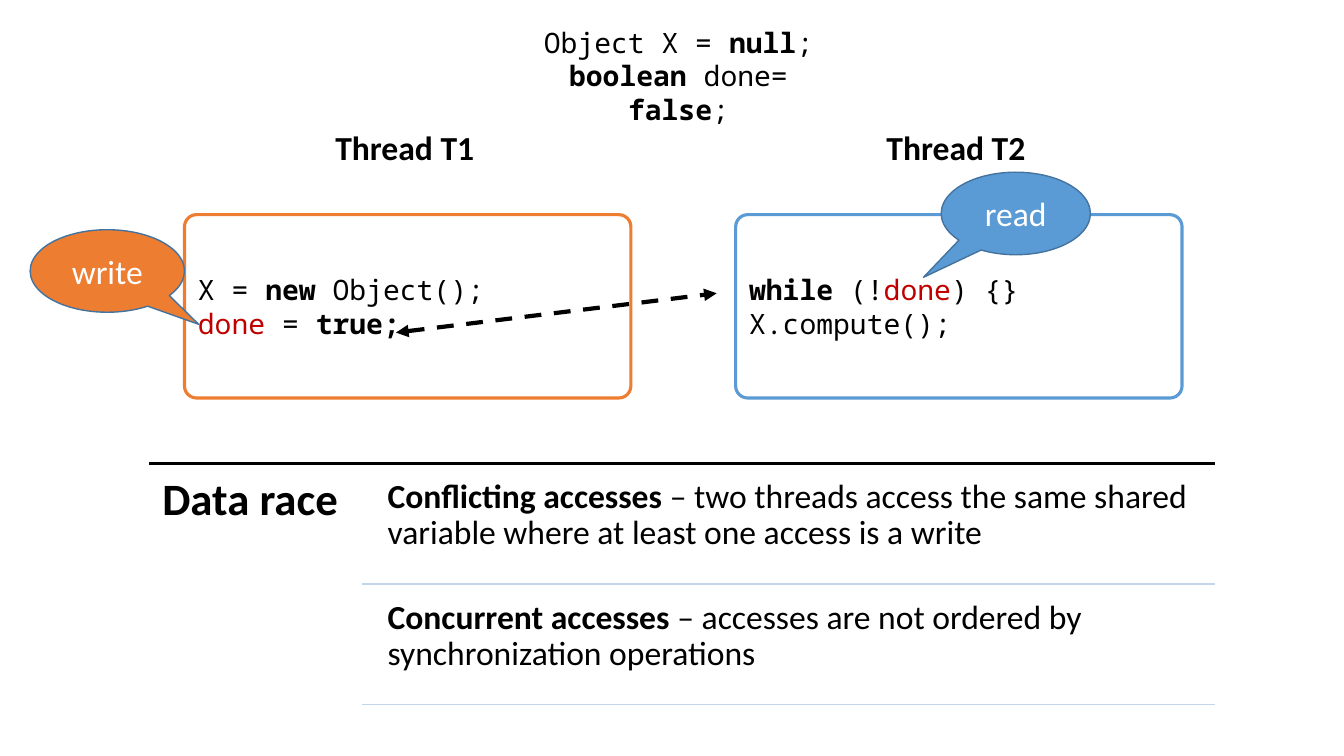
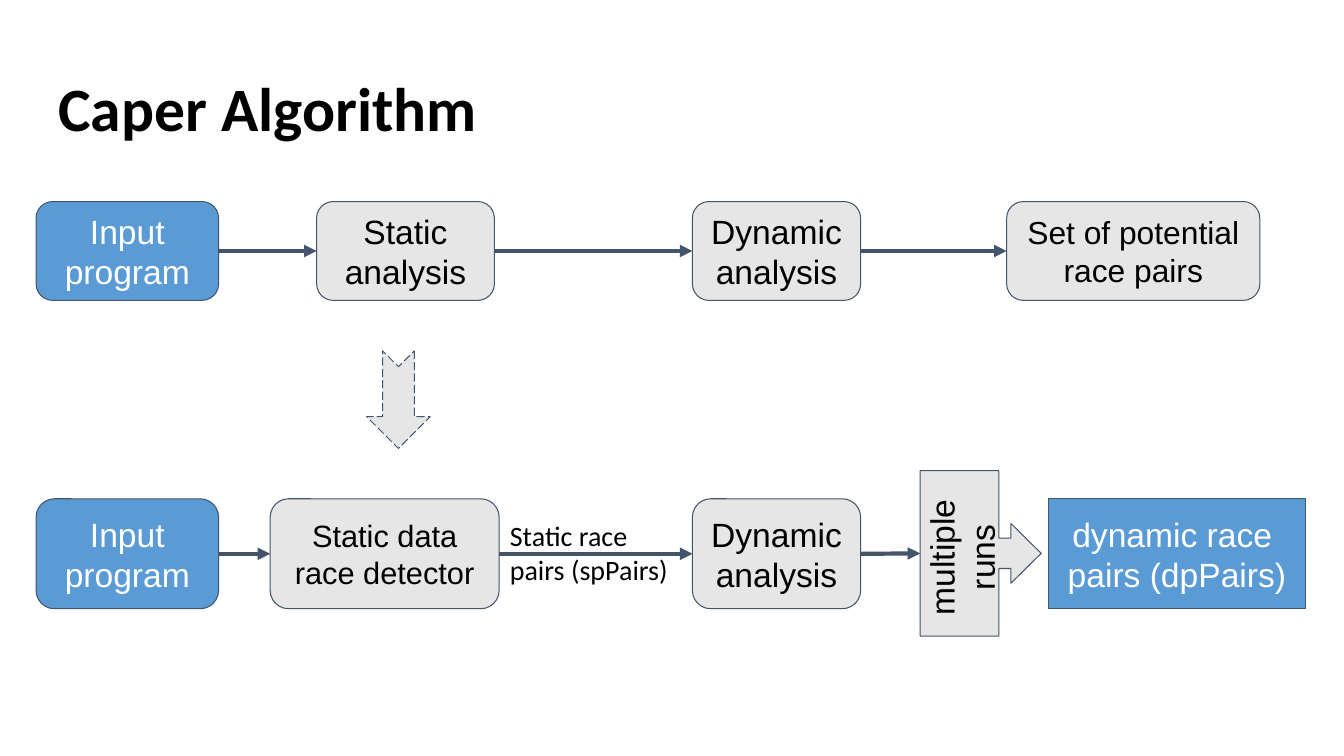
"""Build two slides: a data race example and the Caper algorithm pipeline."""
from lxml import etree
from pptx import Presentation
from pptx.dml.color import RGBColor
from pptx.enum.dml import MSO_LINE
from pptx.enum.shapes import MSO_CONNECTOR, MSO_SHAPE
from pptx.enum.text import MSO_ANCHOR, MSO_AUTO_SIZE, PP_ALIGN
from pptx.oxml.ns import qn
from pptx.util import Cm, Pt

ROUNDED, RECTANGLE = MSO_SHAPE.ROUNDED_RECTANGLE, MSO_SHAPE.RECTANGLE
BUBBLE, NOTCHED = MSO_SHAPE.OVAL_CALLOUT, MSO_SHAPE.NOTCHED_RIGHT_ARROW
ARROW_CALLOUT = MSO_SHAPE.RIGHT_ARROW_CALLOUT
STRAIGHT = MSO_CONNECTOR.STRAIGHT
DASH, LONG_DASH = MSO_LINE.DASH, MSO_LINE.LONG_DASH
TOP, MIDDLE = MSO_ANCHOR.TOP, MSO_ANCHOR.MIDDLE
LEFT, CENTER = PP_ALIGN.LEFT, PP_ALIGN.CENTER
LEFT_SITE, RIGHT_SITE = 1, 3

BLACK = RGBColor(0x00, 0x00, 0x00)
WHITE = RGBColor(0xFF, 0xFF, 0xFF)
RED = RGBColor(0xC0, 0x00, 0x00)
ORANGE = RGBColor(0xED, 0x7D, 0x31)
BLUE = RGBColor(0x5B, 0x9B, 0xD5)
BUBBLE_EDGE = RGBColor(0x43, 0x73, 0x9E)
PALE_BLUE = RGBColor(0xC4, 0xD5, 0xEB)
SLATE = RGBColor(0x44, 0x54, 0x6A)
GREY = RGBColor(0xE7, 0xE6, 0xE6)

BODY, CODE, DIAGRAM = "Calibri", "Noto Sans Mono", "Arial"
WIDE_INSET = 0.33

DECLARATIONS = [
    [("Object X = ",), ("null", True), (";",)],
    [("boolean", True), (" done= ",), ("false", True), (";",)],
]
THREADS = [
    ("Thread T1", 4.65, ORANGE, [
        [("X = ",), ("new", True), (" Object();",)],
        [("done", False, RED), (" = ",), ("true;", True)],
    ]),
    ("Thread T2", 18.54, BLUE, [
        [("while ", True), ("(!",), ("done", False, RED), (") {}",)],
        [("X.compute();",)],
    ]),
]
BUBBLES = [
    ("write", (0.76, 5.79, 3.89, 2.08), ORANGE, (0.592, 0.646)),
    ("read", (23.72, 4.34, 3.76, 2.08), BLUE, (-0.619, 0.774)),
]
CONDITIONS = [
    ("Conflicting accesses",
     " – two threads access the same shared variable where at least one access is a write"),
    ("Concurrent accesses", " – accesses are not ordered by synchronization operations"),
]
RULE_LEFT, RULE_RIGHT, RULE_TOP, RULE_STEP = 3.76, 30.61, 11.68, 3.04
CONDITION_LEFT = 9.12

PIPELINES = [
    (5.08, 2.49, [
        (["Input program"], 0.91, 4.6, 24, BLUE, ROUNDED),
        (["Static analysis"], 7.98, 4.48, 24, GREY, ROUNDED),
        (["Dynamic analysis"], 17.45, 4.24, 24, GREY, ROUNDED),
        (["Set of potential race pairs"], 25.37, 6.38, 22.7, GREY, ROUNDED),
    ]),
    (12.57, 2.77, [
        (["Input program"], 0.91, 4.6, 24, BLUE, ROUNDED),
        (["Static data race detector"], 6.81, 5.77, 22, GREY, ROUNDED),
        (["Dynamic analysis"], 17.45, 4.24, 24, GREY, ROUNDED),
    ]),
]
RESULT = ["dynamic race ", "pairs (dpPairs)"]
PAIRS_LABEL = ["Static race", "pairs (spPairs)"]


def plain(lines):
    """Turn strings into paragraphs of one regular run each."""
    return [[(line,)] for line in lines]


def write(shape, paragraphs, size, font=BODY, color=BLACK, align=LEFT,
          anchor=TOP, inset=None, spacing=None):
    """Fill a shape with paragraphs made of (text, bold, color) runs."""
    frame = shape.text_frame
    frame.word_wrap = True
    frame.auto_size = MSO_AUTO_SIZE.NONE
    frame.vertical_anchor = anchor
    if inset is not None:
        frame.margin_left = frame.margin_right = Cm(inset)
        frame.margin_top = frame.margin_bottom = Cm(inset)
    for index, runs in enumerate(paragraphs):
        paragraph = frame.add_paragraph() if index else frame.paragraphs[0]
        paragraph.alignment = align
        if spacing:
            paragraph.line_spacing = spacing
        for text, bold, run_color in ((*run, False, None)[:3] if len(run) == 1
                                      else (*run, None)[:3] for run in runs):
            run = paragraph.add_run()
            run.text = text
            run.font.name = font
            run.font.size = Pt(size)
            run.font.bold = bold
            run.font.color.rgb = run_color or color


def add_text(slide, box, paragraphs, size, **style):
    """Add a text box."""
    shape = slide.shapes.add_textbox(*map(Cm, box))
    write(shape, paragraphs, size, **style)
    return shape


def add_shape(slide, kind, box, fill, edge, width, adjustments=()):
    """Add a flat preset shape."""
    shape = slide.shapes.add_shape(kind, *map(Cm, box))
    shape.shadow.inherit = False
    shape.fill.solid()
    shape.fill.fore_color.rgb = fill
    shape.line.color.rgb = edge
    shape.line.width = Pt(width)
    for index, value in enumerate(adjustments):
        shape.adjustments[index] = value
    return shape


def add_line(slide, start, end, color, width, arrowheads=(), dash=None):
    """Add a straight connector with optional arrowheads."""
    line = slide.shapes.add_connector(STRAIGHT, *map(Cm, start + end))
    line.line.color.rgb = color
    line.line.width = Pt(width)
    if dash:
        line.line.dash_style = dash
    properties = line.line._get_or_add_ln()
    for tag in arrowheads:
        etree.SubElement(properties, qn(tag), type="triangle")
    etree.SubElement(line._element.spPr, qn("a:effectLst"))
    return line


def join(slide, source, target):
    """Glue an arrow from the right of one shape to the left of the next."""
    arrow = add_line(slide, (0, 0), (0, 0), SLATE, 3, ["a:tailEnd"])
    arrow.begin_connect(source, RIGHT_SITE)
    arrow.end_connect(target, LEFT_SITE)


def add_step(slide, kind, box, lines, size, fill):
    """Add one labelled step of a pipeline."""
    step = add_shape(slide, kind, box, fill, SLATE, 0.75)
    write(step, plain(lines), size, font=DIAGRAM, align=CENTER, anchor=MIDDLE,
          color=WHITE if fill == BLUE else BLACK, inset=WIDE_INSET)
    return step


def build_data_race(presentation):
    """Show two racing threads above the definition of a data race."""
    slide = presentation.slides.add_slide(presentation.slide_layouts[6])
    for heading, left, color, code in THREADS:
        panel = add_shape(slide, ROUNDED, (left, 5.41, 11.25, 4.62), WHITE, color,
                          2.25, [0.066])
        write(panel, code, 20, font=CODE, anchor=MIDDLE)
        add_text(slide, (left + 3.55, 3.07, 5.59, 1.27), [[(heading, True)]], 24)
    add_text(slide, (12.73, 0.51, 8.74, 1.96), DECLARATIONS, 20, font=CODE, align=CENTER)
    add_line(slide, (9.98, 8.38), (18.06, 7.39), BLACK, 3,
             ["a:headEnd", "a:tailEnd"], DASH)
    for label, box, color, pointer in BUBBLES:
        bubble = add_shape(slide, BUBBLE, box, color, BUBBLE_EDGE, 1, pointer)
        write(bubble, plain([label]), 24, color=WHITE, align=CENTER, anchor=MIDDLE)

    add_line(slide, (RULE_LEFT, RULE_TOP), (RULE_RIGHT, RULE_TOP), BLACK, 2)
    add_text(slide, (RULE_LEFT, RULE_TOP, 5.38, 6.22), [[("Data race", True)]], 32,
             inset=WIDE_INSET, spacing=0.9)
    for index, (term, meaning) in enumerate(CONDITIONS):
        top = RULE_TOP + index * RULE_STEP
        bottom = top + RULE_STEP
        add_text(slide, (CONDITION_LEFT + 0.4, top + 0.15, 21.08, 2.9),
                 [[(term, True), (meaning,)]], 24, inset=0.25, spacing=0.9)
        add_line(slide, (CONDITION_LEFT, bottom), (RULE_RIGHT, bottom), PALE_BLUE, 1)


def build_algorithm(presentation):
    """Show the basic pipeline and its refinement."""
    slide = presentation.slides.add_slide(presentation.slide_layouts[5])
    title = slide.shapes.title
    title.left, title.top, title.width, title.height = map(Cm, (1.14, 1.65, 31.55, 2.13))
    write(title, [[("Caper Algorithm", True)]], 44, inset=WIDE_INSET, spacing=0.9)

    for top, height, steps in PIPELINES:
        previous = None
        for lines, left, width, size, fill, kind in steps:
            step = add_step(slide, kind, (left, top, width, height), lines, size, fill)
            if previous:
                join(slide, previous, step)
            previous = step

    runs = add_shape(slide, ARROW_CALLOUT, (23.19, 11.86, 3.05, 4.17), GREY, SLATE,
                     0.75, (0.25, 0.247, 0.25, 0.65))
    join(slide, previous, runs)
    runs_label = add_text(slide, (21.51, 13.23, 4.37, 1.63), plain(["multiple runs"]), 24,
                          font=DIAGRAM, align=CENTER, inset=WIDE_INSET)
    runs_label.rotation = 270
    add_step(slide, RECTANGLE, (26.42, top, 6.48, height), RESULT, 24, BLUE)
    add_text(slide, (12.6, 12.95, 4.83, 1.96), plain(PAIRS_LABEL), 20)

    refinement = add_shape(slide, NOTCHED, (8.81, 9.27, 2.46, 1.6), GREY, SLATE, 0.75)
    refinement.rotation = 90
    refinement.line.dash_style = LONG_DASH


def main():
    """Create and save the presentation."""
    presentation = Presentation()
    presentation.slide_width, presentation.slide_height = Cm(33.87), Cm(19.05)
    build_data_race(presentation)
    build_algorithm(presentation)
    presentation.save("out.pptx")


if __name__ == "__main__":
    main()
